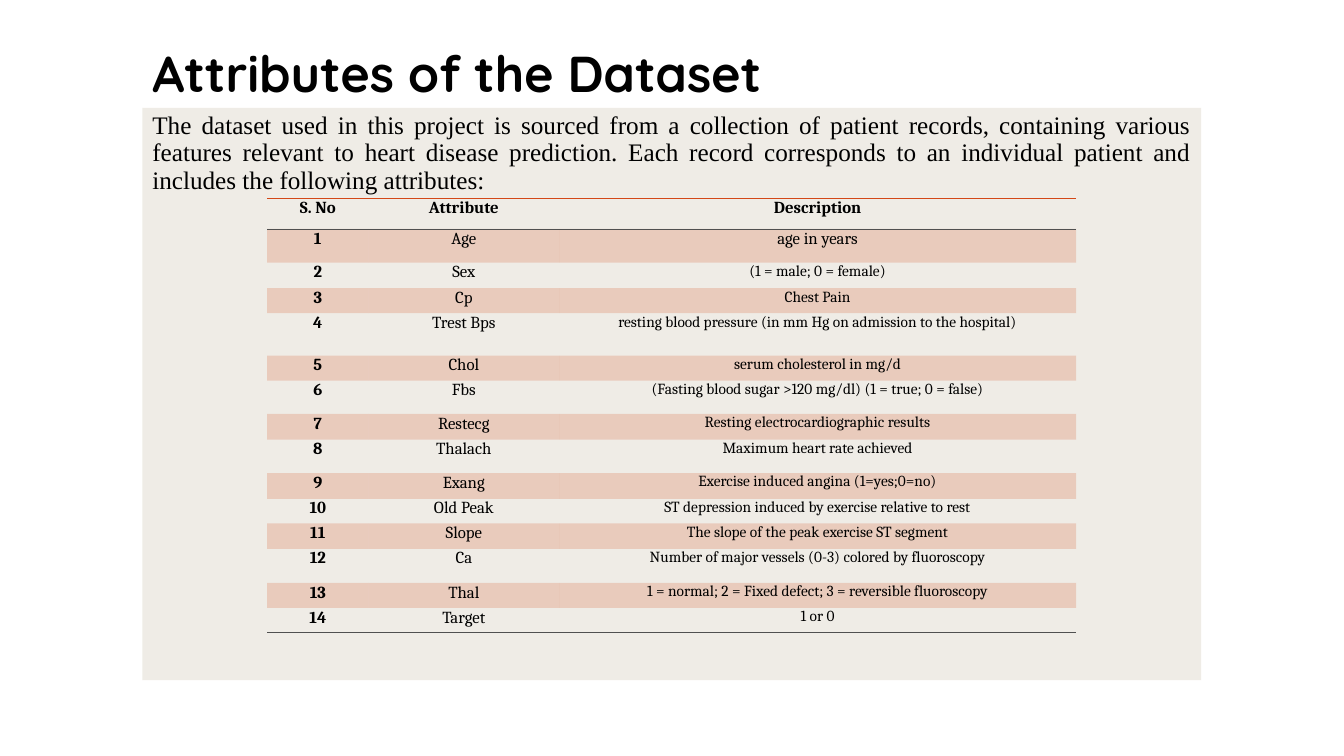
import pptx
import pptx.dml.color
import pptx.enum.shapes
import pptx.enum.text
import pptx.oxml
import pptx.oxml.ns
import pptx.util
from pptx.util import Cm, Pt

RGBColor = pptx.dml.color.RGBColor
ALIGN = pptx.enum.text.PP_ALIGN
ANCHOR = pptx.enum.text.MSO_ANCHOR
qn = pptx.oxml.ns.qn

BLACK = RGBColor(0x00, 0x00, 0x00)
SAND = RGBColor(0xE9, 0xE5, 0xDC)
ORANGE = RGBColor(0xD3, 0x48, 0x17)
RULE_GREY = RGBColor(0x50, 0x50, 0x50)

NO_STYLE_NO_GRID = "{2D5ABB26-0587-4C30-8999-92F81FD0307C}"

INTRO = (
    "The dataset used in this project is sourced from a collection of patient "
    "records, containing various features relevant to heart disease prediction. "
    "Each record corresponds to an individual patient and includes the "
    "following attributes:"
)
HEADINGS = ("S. No", "Attribute", "Description")
HEADING_HEIGHT = 0.76
# attribute, description, row height in cm
ATTRIBUTES = [
    ("Age", "age in years", 0.85),
    ("Sex", "(1 = male; 0 = female)", 0.64),
    ("Cp", "Chest Pain", 0.63),
    ("Trest Bps", "resting blood pressure (in mm Hg on admission to the hospital)", 1.07),
    ("Chol", "serum cholesterol in mg/d", 0.63),
    ("Fbs", "(Fasting blood sugar >120 mg/dl) (1 = true; 0 = false)", 0.84),
    ("Restecg", "Resting electrocardiographic results", 0.65),
    ("Thalach", "Maximum heart rate achieved", 0.84),
    ("Exang", "Exercise induced angina (1=yes;0=no)", 0.65),
    ("Old Peak", "ST depression induced by exercise relative to rest", 0.62),
    ("Slope", "The slope of the peak exercise ST segment", 0.64),
    ("Ca", "Number of major vessels (0-3) colored by fluoroscopy", 0.86),
    ("Thal", "1 = normal; 2 = Fixed defect; 3 = reversible fluoroscopy", 0.63),
    ("Target", "1 or 0", 0.61),
]
COLUMN_WIDTHS = (2.56, 4.8, 13.03)


def fill_translucent(fill, color, percent):
    fill.solid()
    fill.fore_color.rgb = color
    srgb = fill._xPr.find(f'{qn("a:solidFill")}/{qn("a:srgbClr")}')
    alpha = srgb.makeelement(qn("a:alpha"), {"val": str(percent * 1000)})
    srgb.append(alpha)


def write(frame, text, font_name, size, align, bold=False):
    frame.word_wrap = True
    paragraph = frame.paragraphs[0]
    paragraph.text = text
    paragraph.alignment = align
    paragraph.font.name = font_name
    paragraph.font.size = Pt(size)
    paragraph.font.bold = bold
    paragraph.font.color.rgb = BLACK
    return paragraph


def rule_cell(cell, side, color, points):
    """Draw a cell border; side is "lnT" or "lnB"."""
    border = pptx.oxml.parse_xml(
        f'<a:{side} {pptx.oxml.ns.nsdecls("a")} w="{int(Pt(points))}"><a:solidFill>'
        f'<a:srgbClr val="{color}"/></a:solidFill></a:{side}>'
    )
    cell._tc.get_or_add_tcPr().insert(0, border)


def add_title(slide, left, top, width, height):
    frame = slide.shapes.add_textbox(left, top, width, height).text_frame
    frame.vertical_anchor = ANCHOR.BOTTOM
    heading = write(frame, "Attributes of the Dataset", "Quicksand", 36, ALIGN.LEFT, True)
    heading.line_spacing = 0.9


def add_intro_panel(slide, left, top, width, height):
    panel = slide.shapes.add_shape(
        pptx.enum.shapes.MSO_SHAPE.RECTANGLE, left, top, width, height
    )
    panel.shadow.inherit = False
    panel.line.fill.background()
    fill_translucent(panel.fill, SAND, 70)
    panel.text_frame.vertical_anchor = ANCHOR.TOP
    intro = write(panel.text_frame, INTRO, "Times New Roman", 18, ALIGN.JUSTIFY)
    intro.line_spacing = 0.9


def add_attribute_table(slide, left, top, width, height):
    rows = [HEADINGS] + [
        (str(number), attribute, description)
        for number, (attribute, description, _) in enumerate(ATTRIBUTES, 1)
    ]
    heights = [HEADING_HEIGHT] + [row_height for _, _, row_height in ATTRIBUTES]
    table = slide.shapes.add_table(
        len(rows), len(HEADINGS), left, top, width, height
    ).table
    table.horz_banding = False
    table._tbl.tblPr.find(qn("a:tableStyleId")).text = NO_STYLE_NO_GRID
    for column, share in zip(table.columns, COLUMN_WIDTHS):
        column.width = int(width * share / sum(COLUMN_WIDTHS))

    for r, (texts, row_height) in enumerate(zip(rows, heights)):
        table.rows[r].height = int(height * row_height / sum(heights))
        for c, text in enumerate(texts):
            cell = table.cell(r, c)
            cell.margin_left = cell.margin_right = Cm(0.18)
            cell.margin_top = cell.margin_bottom = 0
            size = 11 if c == 2 and r > 1 else 12
            write(cell.text_frame, text, "Cambria", size, ALIGN.CENTER, r == 0 or c == 0)
            if r % 2:
                fill_translucent(cell.fill, ORANGE, 20)
            else:
                cell.fill.background()
            if r in (0, len(rows) - 1):
                rule_cell(cell, "lnB", RULE_GREY, 0.75)
            if r == 0:
                rule_cell(cell, "lnT", ORANGE, 1)


def main():
    presentation = pptx.Presentation()
    presentation.slide_width = Cm(33.87)
    presentation.slide_height = Cm(19.05)
    slide = presentation.slides.add_slide(presentation.slide_layouts[6])
    add_title(slide, Cm(3.59), Cm(1.06), Cm(16.13), Cm(1.68))
    add_intro_panel(slide, Cm(3.59), Cm(2.72), Cm(26.68), Cm(14.42))
    add_attribute_table(slide, Cm(6.73), Cm(5.01), Cm(20.39), Cm(10.92))
    presentation.save("out.pptx")


if __name__ == "__main__":
    main()
